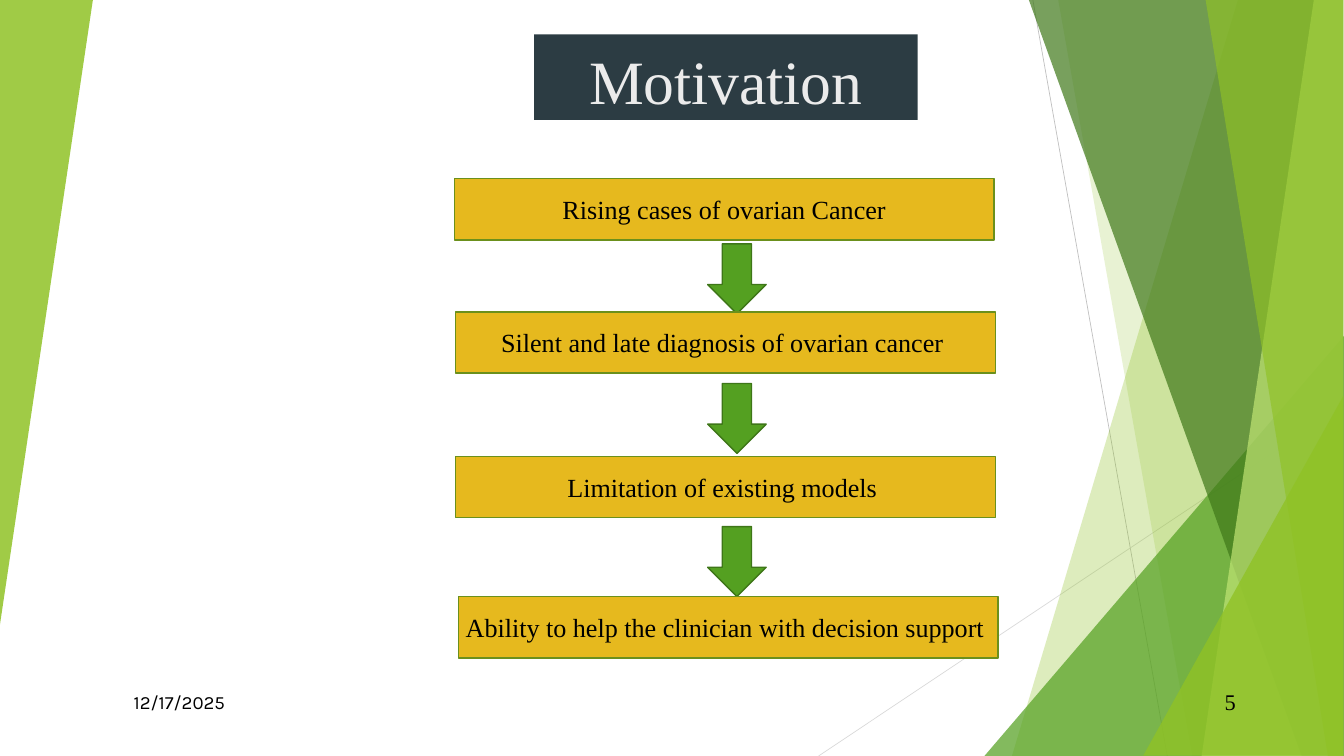
from lxml.etree import SubElement
from pptx import Presentation
from pptx.dml.color import RGBColor
from pptx.enum.shapes import MSO_CONNECTOR as Link, MSO_SHAPE as Kind
from pptx.enum.text import MSO_ANCHOR as Anchor, PP_ALIGN as Align
from pptx.oxml.ns import qn
from pptx.util import Cm, Pt

WIDTH, HEIGHT = 50.8, 28.58
EDGE = 50.77

BLACK = RGBColor(0, 0, 0)
PALE = RGBColor(0xEB, 0xEB, 0xEB)
SLATE = RGBColor(0x2C, 0x3C, 0x43)
GOLD = RGBColor(0xE6, 0xB9, 0x1E)
OLIVE = RGBColor(0x6B, 0x90, 0x1C)
LIME = RGBColor(0x90, 0xC2, 0x26)
MINT = RGBColor(0xC0, 0xE4, 0x74)
GREEN = RGBColor(0x54, 0xA0, 0x21)
DARK = RGBColor(0x3E, 0x76, 0x18)
FOREST = RGBColor(0x3F, 0x78, 0x19)
GREY = RGBColor(0xBF, 0xBF, 0xBF)
SILVER = RGBColor(0xD9, 0xD9, 0xD9)


class Board:
    """Holds the style and the current slide."""

    serif = "Times New Roman"

    def __init__(self, slide):
        self.shapes = slide.shapes

    def paint(self, shape, fill, line=None, alpha=100):
        shape.shadow.inherit = False
        shape.fill.solid()
        shape.fill.fore_color.rgb = fill
        if alpha < 100:
            color = shape.fill._xPr.find(qn("a:solidFill"))[0]
            SubElement(color, qn("a:alpha"), val=str(alpha * 1000))
        if line is None:
            shape.line.fill.background()
        else:
            shape.line.color.rgb = line
            shape.line.width = Pt(1.5)
        return shape

    def letter(self, shape, text, size, color=BLACK, face=serif, anchor=Anchor.MIDDLE):
        frame = shape.text_frame
        frame.word_wrap = True
        frame.vertical_anchor = anchor
        para = frame.paragraphs[0]
        para.text = text
        para.alignment = Align.CENTER
        para.font.size = Pt(size)
        para.font.name = face
        para.font.color.rgb = color

    def line(self, x1, y1, x2, y2, color):
        link = self.shapes.add_connector(Link.STRAIGHT, Cm(x1), Cm(y1), Cm(x2), Cm(y2))
        link.line.color.rgb = color
        link.line.width = Pt(0.75)
        SubElement(link._element.spPr, qn("a:effectLst"))

    def band(self, top, right, base, left, fill, alpha):
        """Four-sided band from the top edge of the slide to the bottom."""
        pen = self.shapes.build_freeform(Cm(top), 0)
        pen.add_line_segments([(Cm(right), 0), (Cm(base), Cm(HEIGHT)),
                               (Cm(left), Cm(HEIGHT))], close=True)
        self.paint(pen.convert_to_shape(), fill, alpha=alpha)

    def shape(self, kind, x, y, w, h, fill, line=None, alpha=100):
        item = self.shapes.add_shape(kind, Cm(x), Cm(y), Cm(w), Cm(h))
        return self.paint(item, fill, line, alpha)

    def wedge(self, x, y, w, h, fill, alpha, turn=0):
        """Right-angled triangle with its tip above the right corner."""
        item = self.shape(Kind.ISOSCELES_TRIANGLE, x, y, w, h, fill, alpha=alpha)
        item.adjustments[0] = 1
        item.rotation = turn

    def label(self, x, y, w, h, text, size, face=serif):
        box = self.shapes.add_textbox(Cm(x), Cm(y), Cm(w), Cm(h))
        self.letter(box, text, size, face=face)


def main():
    deck = Presentation()
    deck.slide_width, deck.slide_height = Cm(WIDTH), Cm(HEIGHT)
    board = Board(deck.slides.add_slide(deck.slide_layouts[6]))

    # Backdrop
    board.line(39.04, 0, 44.12, HEIGHT, GREY)
    board.line(EDGE, 15.34, 30.94, HEIGHT, SILVER)
    board.band(46.79, EDGE, EDGE, 38.25, LIME, 30)
    board.band(40, WIDTH, WIDTH, 45.06, LIME, 20)
    board.wedge(37.21, 12.7, 13.59, 15.88, GREEN, 72)
    board.band(38.89, EDGE, EDGE, 49.2, FOREST, 70)
    board.band(49.66, EDGE, EDGE, 45.42, MINT, 70)
    board.band(45.57, EDGE, EDGE, 50.19, LIME, 65)
    board.wedge(43.21, 14.96, 7.57, 13.61, LIME, 80)
    board.wedge(0, 0, 3.51, 23.6, LIME, 85, turn=180)

    # Title
    title = board.shape(Kind.RECTANGLE, 20.19, 1.3, 14.5, 3.23, SLATE)
    board.letter(title, "Motivation", 66, PALE, anchor=Anchor.BOTTOM)

    # Date and page number
    board.label(4.24, 25.78, 5.08, 1.52, "12/17/2025", 20, "Karla")
    board.label(45.08, 25.78, 2.84, 1.52, "5", 24)

    # Arrows, then the steps they join
    for y in (9.22, 14.5, 19.91):
        board.shape(Kind.DOWN_ARROW, 26.75, y, 2.21, 2.64, GREEN, DARK)

    steps = (
        (17.17, 6.76, " Rising cases of ovarian Cancer "),
        (17.22, 11.79, "Silent and late diagnosis of ovarian cancer "),
        (17.22, 17.25, "Limitation of existing models "),
        (17.32, 22.56, "Ability to help the clinician with decision support "),
    )
    for x, y, text in steps:
        step = board.shape(Kind.RECTANGLE, x, y, 20.4, 2.31, GOLD, OLIVE)
        board.letter(step, text, 28)

    deck.save("out.pptx")


if __name__ == "__main__":
    main()
